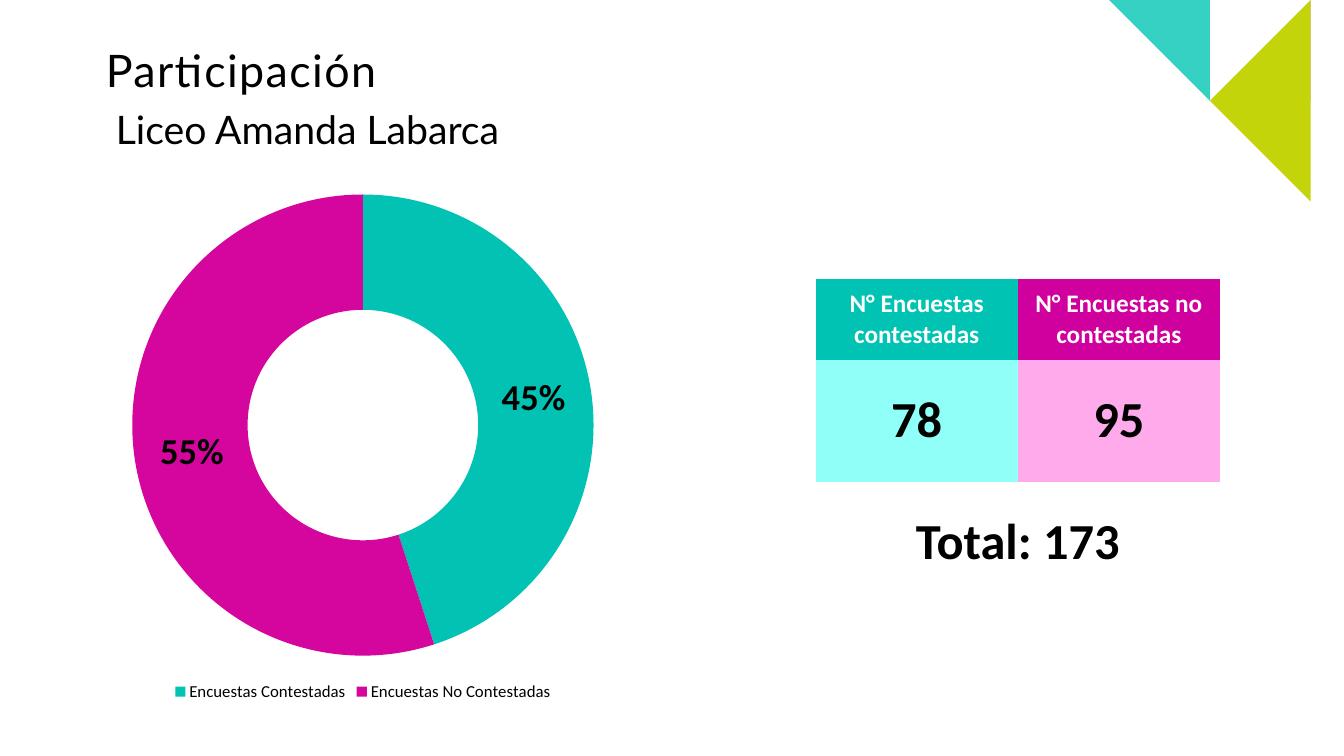
from lxml import etree
from pptx import Presentation
from pptx.chart.data import CategoryChartData
from pptx.dml.color import RGBColor
from pptx.enum.chart import XL_CHART_TYPE as ChartType, XL_LEGEND_POSITION as LegendPos
from pptx.enum.text import MSO_ANCHOR as Anchor, PP_ALIGN as Align
from pptx.oxml import parse_xml
from pptx.oxml.ns import nsdecls, qn
from pptx.util import Inches, Pt

BLACK = RGBColor(0x00, 0x00, 0x00)
WHITE = RGBColor(0xFF, 0xFF, 0xFF)
LIME = RGBColor(0xC4, 0xD4, 0x0A)
MAGENTA = RGBColor(0xCE, 0x00, 0x9F)
TURQUOISE = RGBColor(0x35, 0xD2, 0xC4)
HEAD_TEAL = RGBColor(0x00, 0xC3, 0xB3)
HEAD_PINK = RGBColor(0xD0, 0x00, 0x9E)
PALE_TEAL = RGBColor(0x8F, 0xFF, 0xF7)
PALE_PINK = RGBColor(0xFF, 0xAB, 0xEB)
RING_TEAL = RGBColor(0x01, 0xC2, 0xB3)
RING_PINK = RGBColor(0xD4, 0x06, 0x9D)

NO_STYLE = "{2D5ABB26-0587-4C30-8999-92F81FD0307C}"
TABLE_LEFT, TABLE_TOP = 8.09, 2.77
COL_W, HEAD_H, COUNT_H = 2.005, 0.8, 1.21


def write(tf, text, size, font="Calibri", color=BLACK, bold=False,
          align=Align.LEFT, line=None, spacing=None):
    """Fill a text frame with one formatted run; spacing is in points."""
    p = tf.paragraphs[0]
    p.alignment = align
    if line:
        p.line_spacing = line
    r = p.add_run()
    r.text = text
    r.font.size = Pt(size)
    r.font.name = font
    r.font.bold = bold
    r.font.color.rgb = color
    if spacing:
        r.font._element.set("spc", str(spacing * 100))


def add_text(slide, text, left, top, width, height, inset=True,
             anchor=Anchor.TOP, **fmt):
    sp = slide.shapes.add_textbox(Inches(left), Inches(top), Inches(width), Inches(height))
    tf = sp.text_frame
    tf.word_wrap = True
    tf.vertical_anchor = anchor
    if not inset:
        tf.margin_left = tf.margin_right = tf.margin_top = tf.margin_bottom = 0
    write(tf, text, line=0.9, **fmt)


def add_polygon(slide, points, color):
    fb = slide.shapes.build_freeform(*points[0], scale=Inches(1))
    fb.add_line_segments(points[1:], close=True)
    sp = fb.convert_to_shape()
    sp.shadow.inherit = False
    sp.fill.solid()
    sp.fill.fore_color.rgb = color
    sp.line.fill.background()


def add_survey_table(slide, headings, head_fills, count_fills):
    frame = slide.shapes.add_table(2, 2, Inches(TABLE_LEFT), Inches(TABLE_TOP),
                                   Inches(2 * COL_W), Inches(HEAD_H + COUNT_H))
    table = frame.table
    table.horz_banding = False
    table._tbl.tblPr.find(qn("a:tableStyleId")).text = NO_STYLE
    for row, height in zip(table.rows, (HEAD_H, COUNT_H)):
        row.height = Inches(height)
    for i, heading in enumerate(headings):
        table.columns[i].width = Inches(COL_W)
        for row, fills in enumerate((head_fills, count_fills)):
            cell = table.cell(row, i)
            cell.fill.solid()
            cell.fill.fore_color.rgb = fills[i]
            cell.vertical_anchor = Anchor.MIDDLE
        write(table.cell(0, i).text_frame, heading, size=18, color=WHITE,
              bold=True, align=Align.CENTER)


def set_plot_area(chart, x, y, w, h):
    """Place the plot by fractions of the chart's size."""
    plot_area = chart._chartSpace.chart.plotArea
    for old in plot_area.findall(qn("c:layout")):
        plot_area.remove(old)
    layout = parse_xml(f"<c:layout {nsdecls('c')}><c:manualLayout/></c:layout>")
    values = (("layoutTarget", "inner"), ("xMode", "edge"), ("yMode", "edge"),
              ("x", x), ("y", y), ("w", w), ("h", h))
    for tag, value in values:
        etree.SubElement(layout[0], qn(f"c:{tag}")).set("val", str(value))
    plot_area.insert(0, layout)


def add_doughnut(slide, shares, colors, left, top, size):
    data = CategoryChartData(number_format="0%")
    data.categories = list(shares)
    data.add_series("Series 1", list(shares.values()))
    chart = slide.shapes.add_chart(ChartType.DOUGHNUT, Inches(left), Inches(top),
                                   Inches(size), Inches(size), data).chart
    chart.has_title = False
    chart.font.name = "Calibri"
    chart.font.size = Pt(18)
    chart.has_legend = True
    legend = chart.legend
    legend.position = LegendPos.BOTTOM
    legend.include_in_layout = False
    legend.font.size = Pt(12)
    legend.font.color.rgb = BLACK

    plot = chart.plots[0]
    plot.vary_by_categories = True
    plot._element.find(qn("c:holeSize")).set("val", "50")
    series = plot.series[0]
    for i, color in enumerate(colors):
        fmt = series.points[i].format
        fmt.fill.solid()
        fmt.fill.fore_color.rgb = color
        fmt.line.fill.background()
    labels = series.data_labels
    labels.show_value = True
    labels.show_percentage = False
    labels.number_format = "0%"
    labels.number_format_is_linked = False
    labels.font.size = Pt(26)
    labels.font.bold = True
    labels.font.color.rgb = BLACK
    set_plot_area(chart, 0.06, 0.025, 0.88, 0.88)


def main():
    prs = Presentation()
    prs.slide_width, prs.slide_height = Inches(13.33), Inches(7.5)
    slide = prs.slides.add_slide(prs.slide_layouts[6])

    add_polygon(slide, [(13.33, 2.01), (13.33, 1.19), (12.51, 0.37), (12.09, 0.78)], LIME)
    add_polygon(slide, [(13.33, 0.8), (13.33, 0), (12.53, 0)], MAGENTA)
    add_polygon(slide, [(10.87, 0), (11.68, 0.8), (12.49, 0)], TURQUOISE)

    add_survey_table(slide, ("N° Encuestas contestadas", "N° Encuestas no contestadas"),
                     (HEAD_TEAL, HEAD_PINK), (PALE_TEAL, PALE_PINK))
    add_text(slide, "Participación", 1.05, 0.48, 5.61, 0.67, inset=False,
             size=32, font="Lato", spacing=1)
    add_text(slide, "Liceo Amanda Labarca", 1.05, 1.05, 9.78, 0.96, size=28, font="Lato")

    figure = dict(size=36, bold=True, align=Align.CENTER, anchor=Anchor.MIDDLE)
    counts_top = TABLE_TOP + HEAD_H
    for i, count in enumerate(("78", "95")):
        add_text(slide, count, TABLE_LEFT + i * COL_W, counts_top, COL_W, COUNT_H, **figure)
    add_text(slide, "Total: 173", TABLE_LEFT, counts_top + COUNT_H,
             2 * COL_W, COUNT_H, **figure)

    add_doughnut(slide, {"Encuestas Contestadas": 0.45, "Encuestas No Contestadas": 0.55},
                 (RING_TEAL, RING_PINK), 1, 1.8, 5.2)
    prs.save("out.pptx")


if __name__ == "__main__":
    main()
